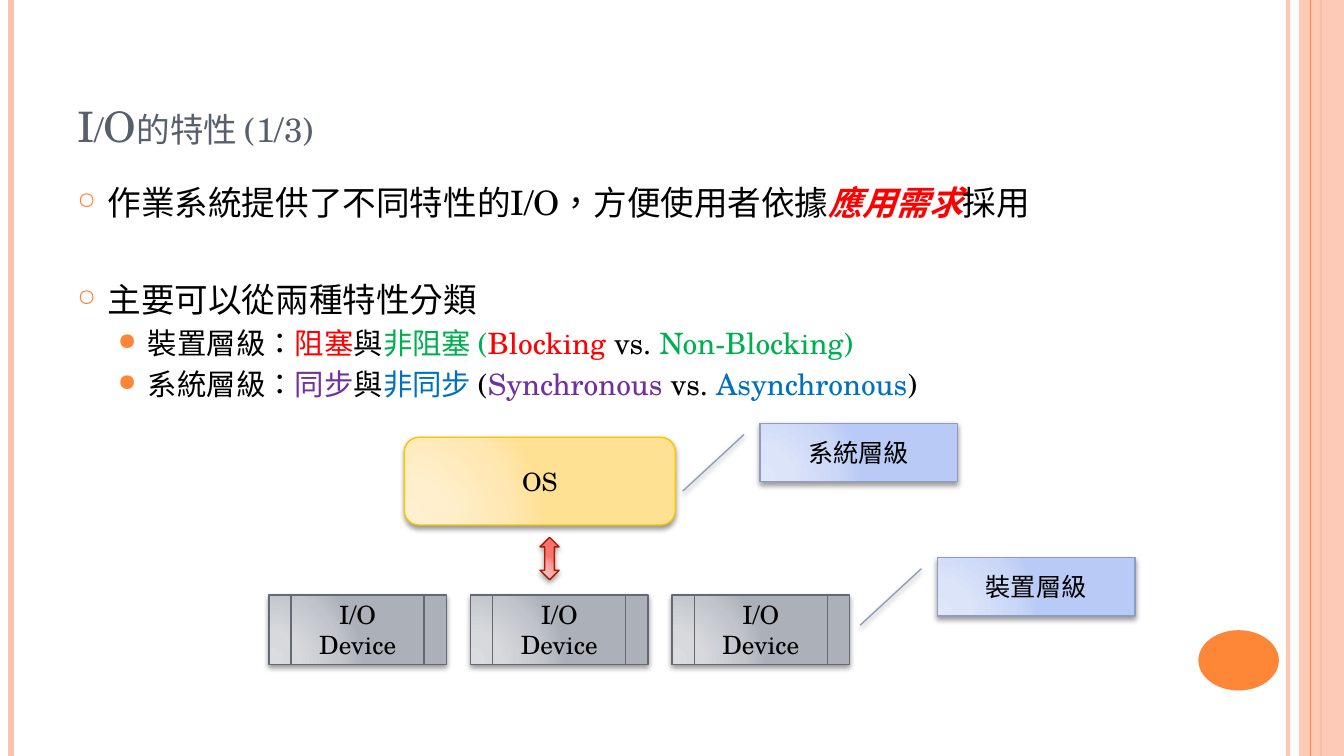
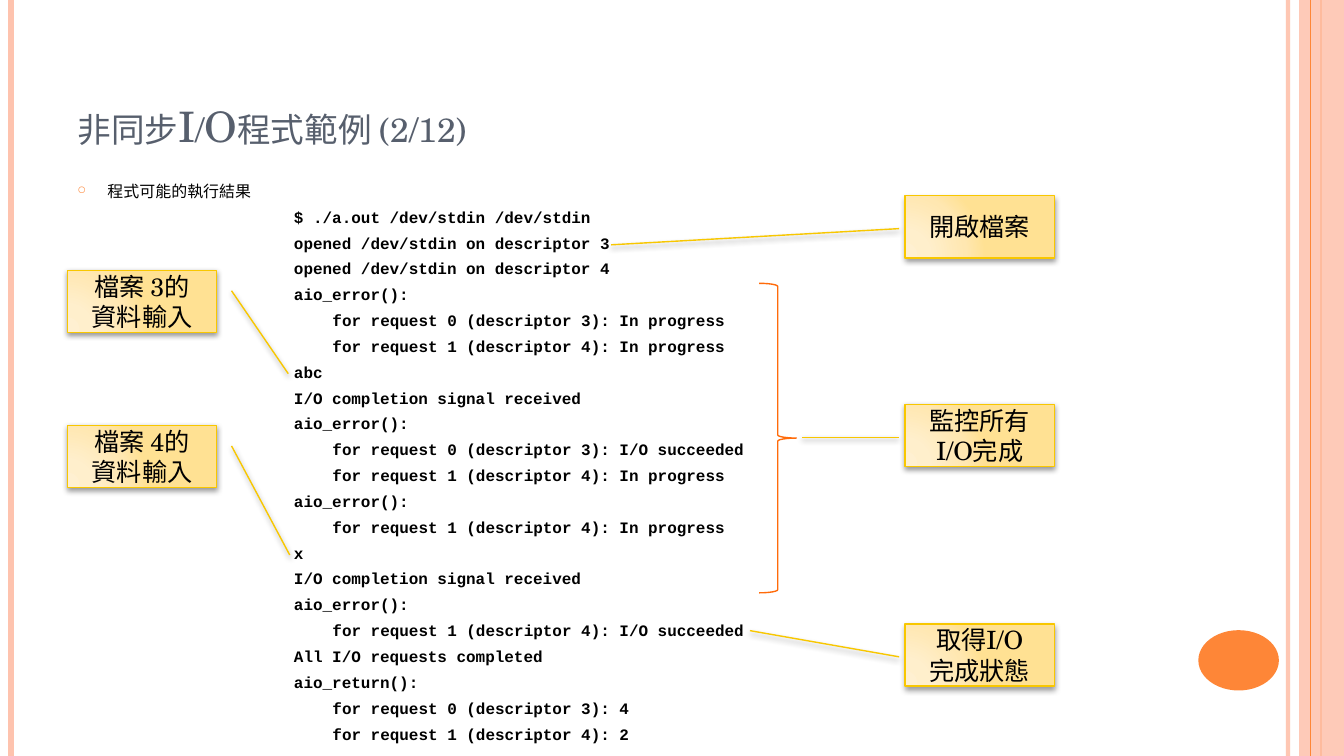
from typing import NamedTuple

from lxml.etree import SubElement
from pptx import Presentation
from pptx.dml.color import RGBColor
from pptx.enum.shapes import MSO_CONNECTOR, MSO_SHAPE
from pptx.enum.text import MSO_ANCHOR, MSO_AUTO_SIZE, PP_ALIGN
from pptx.oxml import parse_xml
from pptx.oxml.ns import nsdecls, qn
from pptx.util import Cm, Pt

WIDTH, HEIGHT = 33.87, 19.05
PEACH = RGBColor(0xFE, 0xC3, 0xAE)
ORANGE = RGBColor(0xFE, 0x86, 0x37)
BRACE_ORANGE = RGBColor(0xFF, 0x6B, 0x0A)
SLATE = RGBColor(0x57, 0x5F, 0x6D)
BLACK = RGBColor(0x00, 0x00, 0x00)
RED = RGBColor(0xFF, 0x00, 0x00)
GREEN = RGBColor(0x00, 0xB0, 0x50)
PURPLE = RGBColor(0x70, 0x30, 0xA0)
BLUE = RGBColor(0x00, 0x70, 0xC0)


class Tint(NamedTuple):
    stops: tuple
    outline: RGBColor


def tint(outline, *stops):
    return Tint(tuple(map(RGBColor.from_string, stops)), RGBColor.from_string(outline))


GOLD_TINT = tint("F8C700", "FFF0D1", "FFEFCC", "FFE7B1", "FFE193")
GREY_TINT = tint("636A74", "DADCE0", "D7D9DD", "C1C5CB", "ABB0B9")
BLUE_TINT = tint("8D9CBF", "DEE6FA", "DBE4F9", "CAD7F7", "B8CAF5")
RED_TINT = tint("AC1800", "F8C5C3", "F8BFBD", "F69B98", "F8736E")
STOP_POSITIONS = (0, 30, 75, 100)

SERIF = {"name": "TeX Gyre Schola", "color": BLACK}
TITLE_FONT = SERIF | {"size": Pt(30), "color": SLATE}
LABEL_FONT = SERIF | {"size": Pt(18)}
POINT_FONT = SERIF | {"size": Pt(24)}
SUBPOINT_FONT = SERIF | {"size": Pt(21)}
INTRO_FONT = SERIF | {"size": Pt(11.4)}
CODE_FONT = INTRO_FONT | {"name": "Courier New", "bold": True}

POINT = {"margin": 0.76, "bullet": "○", "bullet_size": 70, "before": 6}
SUBPOINT = {"margin": 1.78, "bullet": "●", "bullet_size": 80, "before": 4.2, "level": 1}
CODE = {"margin": 5.46, "before": 4.8}
CODE_INDENT = 0.97

CONSOLE_OUTPUT = """$ ./a.out /dev/stdin /dev/stdin
opened /dev/stdin on descriptor 3
opened /dev/stdin on descriptor 4
aio_error():
    for request 0 (descriptor 3): In progress
    for request 1 (descriptor 4): In progress
abc
I/O completion signal received
aio_error():
    for request 0 (descriptor 3): I/O succeeded
    for request 1 (descriptor 4): In progress
aio_error():
    for request 1 (descriptor 4): In progress
x
I/O completion signal received
aio_error():
    for request 1 (descriptor 4): I/O succeeded
All I/O requests completed
aio_return():
    for request 0 (descriptor 3): 4
    for request 1 (descriptor 4): 2"""


def box(*lengths):
    return [Cm(length) for length in lengths]


def format_run(run, values):
    for attribute, value in values.items():
        if attribute == "color":
            run.font.color.rgb = value
        else:
            setattr(run.font, attribute, value)
    run._r.get_or_add_rPr().set("lang", "zh-TW")


def set_alpha(properties, percent):
    color = next(properties.iter(qn("a:srgbClr")))
    SubElement(color, qn("a:alpha")).set("val", str(percent * 1000))


def add_rule(slide, x, color, width, alpha=None):
    rule = slide.shapes.add_connector(MSO_CONNECTOR.STRAIGHT, *box(x, 0, x, HEIGHT))
    rule.line.color.rgb = color
    rule.line.width = Pt(width)
    properties = rule._element.spPr
    if alpha:
        set_alpha(properties, alpha)
    SubElement(properties, qn("a:effectLst"))


def add_flat_shape(slide, preset, bounds, color):
    flat = slide.shapes.add_shape(preset, *box(*bounds))
    flat.shadow.inherit = False
    flat.fill.solid()
    flat.fill.fore_color.rgb = color
    flat.line.fill.background()
    return flat


def add_frame(slide):
    add_rule(slide, 32.46, PEACH, 3, 93)
    add_rule(slide, 0.28, PEACH, 4.5)
    add_rule(slide, 33.3, ORANGE, 1.5)
    band = add_flat_shape(slide, MSO_SHAPE.RECTANGLE, (32.74, 0, WIDTH - 32.74, HEIGHT), PEACH)
    set_alpha(band._element.spPr, 87)
    add_rule(slide, 33.02, ORANGE, 0.75)
    add_flat_shape(slide, MSO_SHAPE.OVAL, (30.2, 15.88, 2.03, 1.52), ORANGE)


def add_titled_slide(deck, heading):
    slide = deck.slides.add_slide(deck.slide_layouts[5])
    add_frame(slide)
    title = slide.shapes.title
    title.left, title.top, title.width, title.height = box(1.7, 0.76, 27.66, 3.18)
    frame = title.text_frame
    frame.text = heading
    frame.auto_size = MSO_AUTO_SIZE.NONE
    frame.vertical_anchor = MSO_ANCHOR.BOTTOM
    paragraph = frame.paragraphs[0]
    paragraph.alignment = PP_ALIGN.LEFT
    run = paragraph.runs[0]
    format_run(run, TITLE_FONT)
    run._r.get_or_add_rPr().set("cap", "small")
    return slide


def add_body(slide, height):
    frame = slide.shapes.add_textbox(*box(1.7, 4.45, 27.66, height)).text_frame
    frame.word_wrap = True
    return frame


def add_paragraph(frame, style, font, *parts):
    first = frame.paragraphs[0]
    paragraph = frame.add_paragraph() if first.runs else first
    paragraph.level = style.get("level", 0)
    paragraph.space_before = Pt(style["before"])
    properties = paragraph._p.get_or_add_pPr()
    properties.set("marL", str(Cm(style["margin"])))
    if "bullet" in style:
        properties.set("indent", str(Cm(-0.76)))
        SubElement(SubElement(properties, qn("a:buClr")), qn("a:srgbClr")).set("val", str(ORANGE))
        SubElement(properties, qn("a:buSzPct")).set("val", str(style["bullet_size"] * 1000))
        SubElement(properties, qn("a:buChar")).set("char", style["bullet"])
    for text, changes in parts:
        run = paragraph.add_run()
        run.text = text
        format_run(run, font | changes)


def add_tinted_shape(slide, preset, bounds, colors, label="", adjustments=()):
    tinted = slide.shapes.add_shape(preset, *box(*bounds))
    for index, value in enumerate(adjustments):
        tinted.adjustments[index] = value
    stops = "".join(
        f'<a:gs pos="{position * 1000}"><a:srgbClr val="{color}"/></a:gs>'
        for position, color in zip(STOP_POSITIONS, colors.stops)
    )
    properties = tinted._element.spPr
    properties.insert(2, parse_xml(
        f'<a:gradFill {nsdecls("a")} rotWithShape="1"><a:gsLst>{stops}</a:gsLst>'
        '<a:path path="circle"><a:fillToRect l="5000" t="100000" r="120000" b="10000"/>'
        '</a:path></a:gradFill>'
    ))
    tinted.line.color.rgb = colors.outline
    tinted.line.width = Pt(1)
    tinted.shadow.inherit = False
    properties.find(qn("a:effectLst")).append(parse_xml(
        f'<a:outerShdw {nsdecls("a")} blurRad="{Pt(4)}" dist="{Pt(2)}" dir="5400000" '
        f'rotWithShape="0"><a:srgbClr val="{BLACK}"><a:alpha val="40000"/></a:srgbClr></a:outerShdw>'
    ))
    if label:
        tinted.text_frame.vertical_anchor = MSO_ANCHOR.MIDDLE
        paragraph = tinted.text_frame.paragraphs[0]
        paragraph.text = label
        paragraph.alignment = PP_ALIGN.CENTER
        for run in paragraph.runs:
            format_run(run, LABEL_FONT)


def add_callout(slide, bounds, colors, label, pointer):
    add_tinted_shape(slide, MSO_SHAPE.LINE_CALLOUT_1, bounds, colors, label, pointer)


def add_brace(slide, bounds):
    brace = slide.shapes.add_shape(MSO_SHAPE.RIGHT_BRACE, *box(*bounds))
    brace.shadow.inherit = False
    brace.fill.background()
    brace.line.color.rgb = BRACE_ORANGE
    brace.line.width = Pt(1)


def build_characteristics(deck):
    slide = add_titled_slide(deck, "I/O的特性 (1/3)")
    body = add_body(slide, 13.54)
    red, green, purple, blue = ({"color": color} for color in (RED, GREEN, PURPLE, BLUE))
    add_paragraph(body, POINT, POINT_FONT,
                  ("作業系統提供了不同特性的I/O，方便使用者依據", {}),
                  ("應用需求", red | {"bold": True, "italic": True}), ("採用", {}))
    add_paragraph(body, POINT | {"before": 41}, POINT_FONT, ("主要可以從兩種特性分類", {}))
    add_paragraph(body, SUBPOINT, SUBPOINT_FONT,
                  ("裝置層級：", {}), ("阻塞", red), ("與", {}), ("非阻塞 (", green),
                  ("Blocking ", red), ("vs. ", {}), ("Non-Blocking)", green))
    add_paragraph(body, SUBPOINT, SUBPOINT_FONT,
                  ("系統層級：", {}), ("同步", purple), ("與", {}), ("非同步", blue), (" (", {}),
                  ("Synchronous", purple), (" vs. ", {}), ("Asynchronous", blue), (")", {}))

    add_tinted_shape(slide, MSO_SHAPE.ROUNDED_RECTANGLE, (10.19, 11.02, 6.83, 2.21), GOLD_TINT, "OS")
    for column in range(3):
        add_tinted_shape(slide, MSO_SHAPE.FLOWCHART_PREDEFINED_PROCESS,
                         (6.78 + 5.08 * column, 14.99, 4.47, 1.75), GREY_TINT, "I/O Device")
    for left, top, label in ((19.15, 10.67, "系統層級"), (23.62, 14.05, "裝置層級")):
        add_callout(slide, (left, top, 4.98, 1.47), BLUE_TINT, label, (0.19, -0.08, 1.16, -0.39))
    add_tinted_shape(slide, MSO_SHAPE.UP_DOWN_ARROW, (13.61, 13.54, 0.48, 1.07), RED_TINT)


def build_example(deck):
    slide = add_titled_slide(deck, "非同步I/O程式範例 (2/12)")
    body = add_body(slide, 14.5)
    add_paragraph(body, POINT, INTRO_FONT, ("程式可能的執行結果", {}))
    for line in CONSOLE_OUTPUT.splitlines():
        indent = CODE_INDENT if line.startswith(" ") else 0
        add_paragraph(body, CODE | {"margin": CODE["margin"] + indent}, CODE_FONT, (line.strip(), {}))

    add_brace(slide, (19.13, 7.14, 0.94, 7.8))
    left_start, right_start = (0.33, 1.1), (0.53, -0.04)
    for left, top, label, pointer in (
        (1.7, 6.81, "檔案 3的\n資料輸入", (*left_start, 1.66, 1.48)),
        (1.7, 10.72, "檔案 4的\n資料輸入", (*left_start, 2.08, 1.49)),
        (22.81, 10.19, "監控所有I/O完成", (*right_start, 0.53, -0.69)),
        (22.81, 4.93, "開啟檔案", (*right_start, 0.79, -1.97)),
        (22.81, 15.72, "取得I/O\n完成狀態", (*right_start, 0.11, -1.04)),
    ):
        add_callout(slide, (left, top, 3.76, 1.57), GOLD_TINT, label, pointer)


def main():
    deck = Presentation()
    deck.slide_width, deck.slide_height = box(WIDTH, HEIGHT)
    build_characteristics(deck)
    build_example(deck)
    deck.save("out.pptx")


if __name__ == "__main__":
    main()
